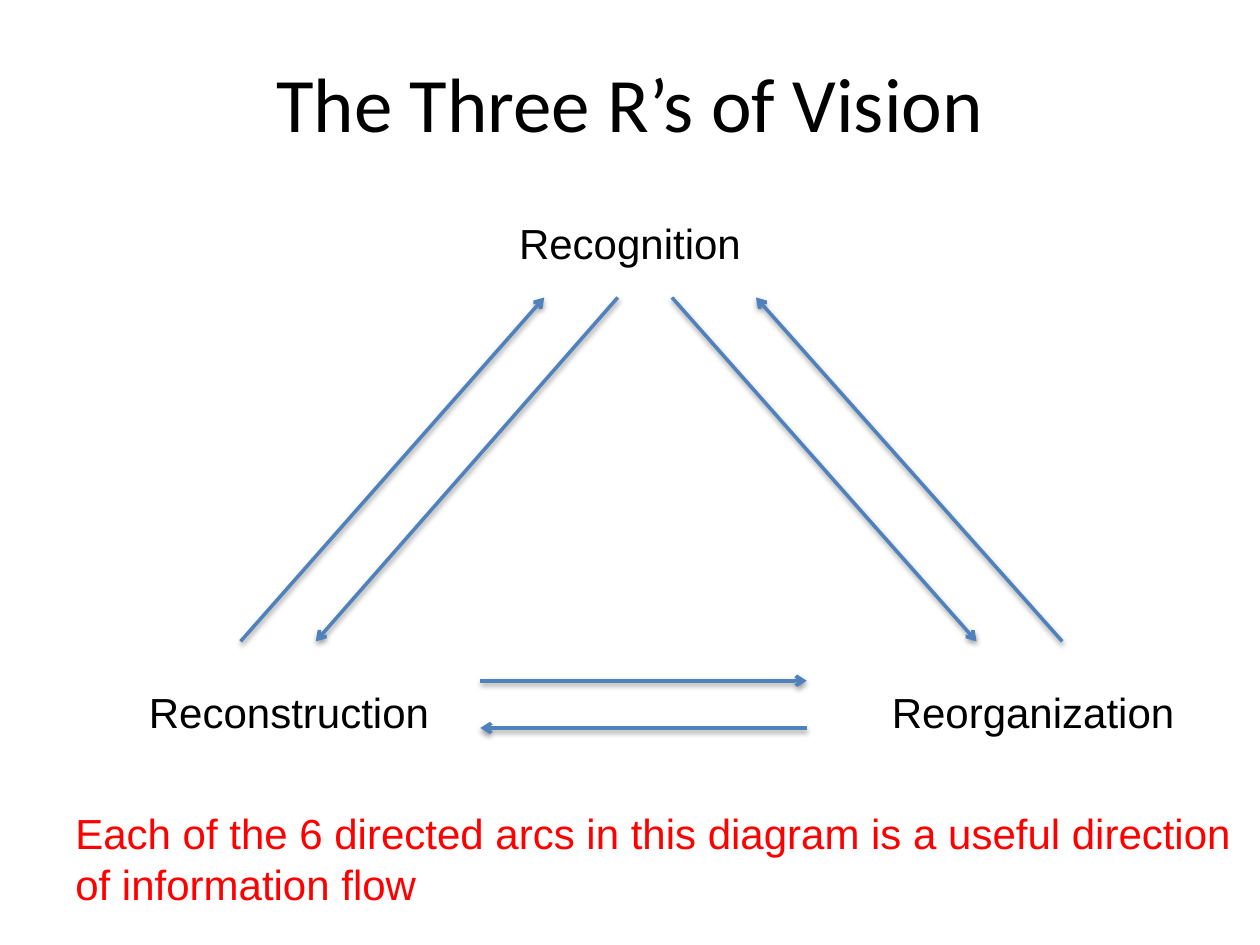
from dataclasses import dataclass

import pptx
import pptx.dml.color
import pptx.enum.shapes
import pptx.enum.text
import pptx.oxml
import pptx.oxml.ns
import pptx.presentation
import pptx.slide
import pptx.util

Pt = pptx.util.Pt
RGBColor = pptx.dml.color.RGBColor

BLACK = RGBColor(0x00, 0x00, 0x00)
RED = RGBColor(0xFF, 0x00, 0x00)
BLUE = RGBColor(0x4F, 0x81, 0xBD)

TOP, BASE = 170, 366.5
LEFT, RIGHT = 274.5, 461
SHADOW = (
    f'<a:effectLst {pptx.oxml.ns.nsdecls("a")}>'
    '<a:outerShdw blurRad="40000" dist="20000" dir="5400000" rotWithShape="0">'
    '<a:srgbClr val="000000"><a:alpha val="38000"/></a:srgbClr>'
    '</a:outerShdw></a:effectLst>'
)
HEAD = f'<a:tailEnd {pptx.oxml.ns.nsdecls("a")} type="arrow"/>'


@dataclass
class Label:
    text: str
    left: float
    top: float
    width: float
    height: float = 36.5
    color: RGBColor = BLACK
    wrap: bool = True


@dataclass
class Arc:
    x1: float
    y1: float
    x2: float
    y2: float


LABELS = [
    Label("Each of the 6 directed arcs in this diagram is a useful direction "
          "of information flow", 36, 458, 684, 65.5, RED),
    Label("Recognition", 289.5, 120.5, 142.5, wrap=False),
    Label("Reconstruction", 78, 389, 177),
    Label("Reorganization", 502.5, 389, 214),
]

ARCS = [
    Arc(137.5, BASE, 311, TOP),
    Arc(353, TOP, 180.5, BASE),
    Arc(384, TOP, 558, BASE),
    Arc(607, BASE, 432, TOP),
    Arc(LEFT, 389, RIGHT, 389),
    Arc(RIGHT, 416, LEFT, 416),
]


def add_run(para, text: str, size: float, face: str, color: RGBColor) -> None:
    run = para.add_run()
    run.text = text
    run.font.size = Pt(size)
    run.font.name = face
    run.font.color.rgb = color


def draw_title(slide: pptx.slide.Slide, text: str) -> None:
    title = slide.shapes.title
    title.left, title.top = Pt(36), Pt(21.6)
    title.width, title.height = Pt(648), Pt(73.5)
    title.text_frame.vertical_anchor = pptx.enum.text.MSO_ANCHOR.MIDDLE
    para = title.text_frame.paragraphs[0]
    para.alignment = pptx.enum.text.PP_ALIGN.CENTER
    add_run(para, text, 44, "Calibri", BLACK)


def draw_label(slide: pptx.slide.Slide, label: Label) -> None:
    box = slide.shapes.add_textbox(
        Pt(label.left), Pt(label.top), Pt(label.width), Pt(label.height))
    frame = box.text_frame
    frame.word_wrap = label.wrap
    frame.auto_size = pptx.enum.text.MSO_AUTO_SIZE.SHAPE_TO_FIT_TEXT
    add_run(frame.paragraphs[0], label.text, 24, "Arial", label.color)


def draw_arc(slide: pptx.slide.Slide, arc: Arc) -> None:
    line = slide.shapes.add_connector(
        pptx.enum.shapes.MSO_CONNECTOR.STRAIGHT,
        Pt(arc.x1), Pt(arc.y1), Pt(arc.x2), Pt(arc.y2))
    line.line.color.rgb = BLUE
    line.line.width = Pt(2)
    props = line._element.spPr
    props.find(pptx.oxml.ns.qn("a:ln")).append(pptx.oxml.parse_xml(HEAD))
    props.append(pptx.oxml.parse_xml(SHADOW))


def main() -> None:
    deck: pptx.presentation.Presentation = pptx.Presentation()
    deck.slide_width, deck.slide_height = Pt(720), Pt(540)
    slide = deck.slides.add_slide(deck.slide_layouts[5])
    draw_title(slide, "The Three R’s of Vision")
    for label in LABELS:
        draw_label(slide, label)
    for arc in ARCS:
        draw_arc(slide, arc)
    deck.save("out.pptx")


if __name__ == "__main__":
    main()
